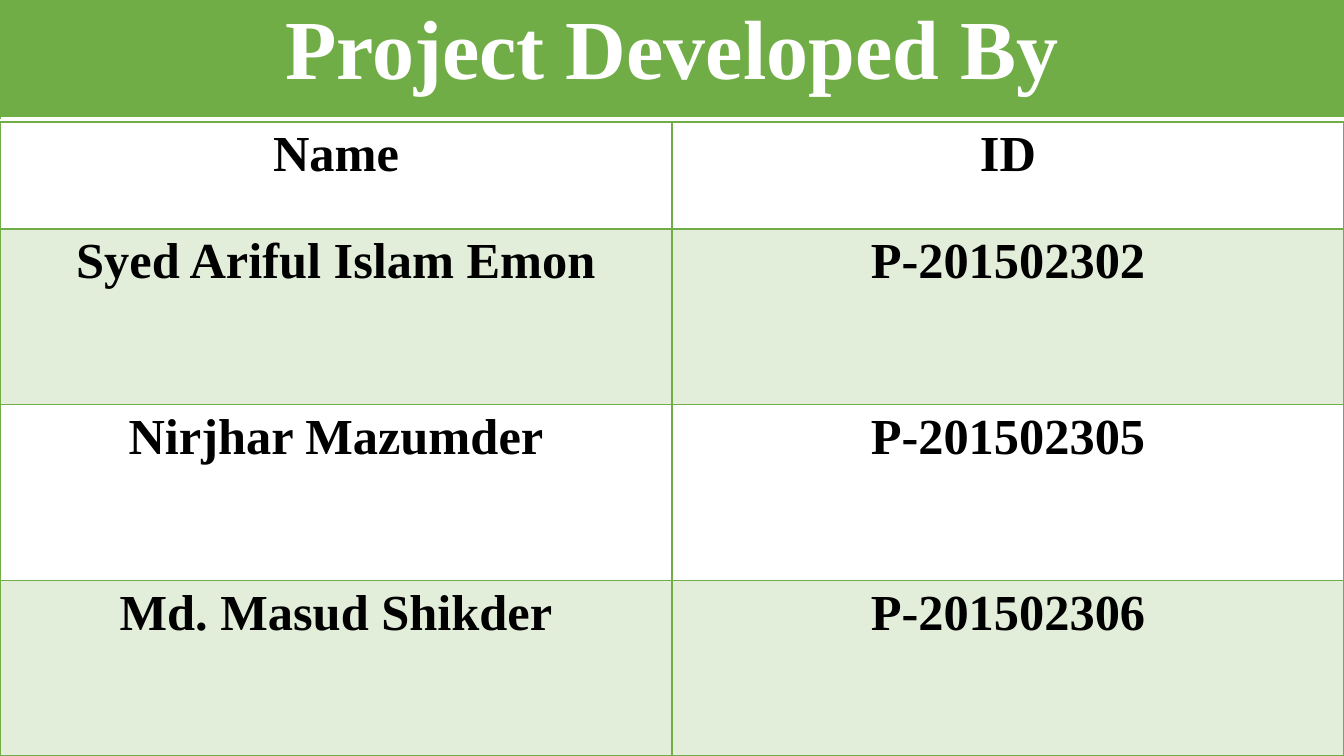
from lxml import etree
from pptx import Presentation
from pptx import util as u
from pptx.dml.color import RGBColor
from pptx.enum import text
from pptx.oxml import ns

THEME = {
    "font": "Times New Roman",
    "green": "70AD47",
    "white": "FFFFFF",
    "black": "000000",
    "title_size": 60,
    "body_size": 36,
    "band_opacity": 20,
}
MEMBERS = [
    ("Name", "ID"),
    ("Syed Ariful Islam Emon", "P-201502302"),
    ("Nirjhar Mazumder", "P-201502305"),
    ("Md. Masud Shikder", "P-201502306"),
]


def add_grid(page, top, width, row_heights, column_count):
    """Add a full-width table with equal columns and no built-in banding."""
    frame = page.shapes.add_table(len(row_heights), column_count, 0, top, width, sum(row_heights))
    grid = frame.table
    grid.first_row = grid.horz_banding = False
    for row, height in zip(grid.rows, row_heights):
        row.height = height
    for column in grid.columns:
        column.width = width // column_count
    return grid


def fill_cell(cell, words, size, color, borders, opacity):
    """Write one centred bold run, then draw the borders and the fill."""
    para = cell.text_frame.paragraphs[0]
    para.alignment = text.PP_ALIGN.CENTER
    span = para.add_run()
    span.text = words
    span.font.name = THEME["font"]
    span.font.size = u.Pt(size)
    span.font.bold = True
    span.font.color.rgb = RGBColor.from_string(color)

    properties = cell._tc.get_or_add_tcPr()
    for side, (line_color, points) in borders.items():
        line = etree.SubElement(properties, ns.qn(f"a:ln{side}"), w=str(u.Pt(points)))
        solid = etree.SubElement(line, ns.qn("a:solidFill"))
        etree.SubElement(solid, ns.qn("a:srgbClr"), val=line_color)

    if not opacity:
        cell.fill.background()
        return
    cell.fill.solid()
    cell.fill.fore_color.rgb = RGBColor.from_string(THEME["green"])
    if opacity < 100:
        shade = properties.find(ns.qn("a:solidFill")).find(ns.qn("a:srgbClr"))
        etree.SubElement(shade, ns.qn("a:alpha"), val=str(opacity * 1000))


# Slide
deck = Presentation()
deck.slide_width, deck.slide_height = u.Inches(13.33), u.Inches(7.5)
page = deck.slides.add_slide(deck.slide_layouts[6])

# Title band
title_grid = add_grid(page, 0, deck.slide_width, [u.Inches(1.17)], 1)
title_borders = dict.fromkeys("LRT", (THEME["green"], 0.5)) | {"B": (THEME["white"], 1)}
fill_cell(title_grid.cell(0, 0), "Project Developed By",
          THEME["title_size"], THEME["white"], title_borders, 100)

# Member table: a header row, then equal rows down to the slide's foot
member_top, header_height = u.Inches(1.21), u.Inches(1.06)
member_count = len(MEMBERS) - 1
member_height = (deck.slide_height - member_top - header_height) // member_count
member_grid = add_grid(page, member_top, deck.slide_width,
                       [header_height] + [member_height] * member_count, 2)
for row_index, member in enumerate(MEMBERS):
    borders = dict.fromkeys("LRTB", (THEME["green"], 1))
    # The rule under the header is heavier
    if row_index == 0:
        borders["B"] = (THEME["green"], 2)
    elif row_index == 1:
        borders["T"] = (THEME["green"], 2)
    opacity = THEME["band_opacity"] if row_index % 2 else 0
    for column_index, words in enumerate(member):
        fill_cell(member_grid.cell(row_index, column_index), words,
                  THEME["body_size"], THEME["black"], borders, opacity)

deck.save("out.pptx")
